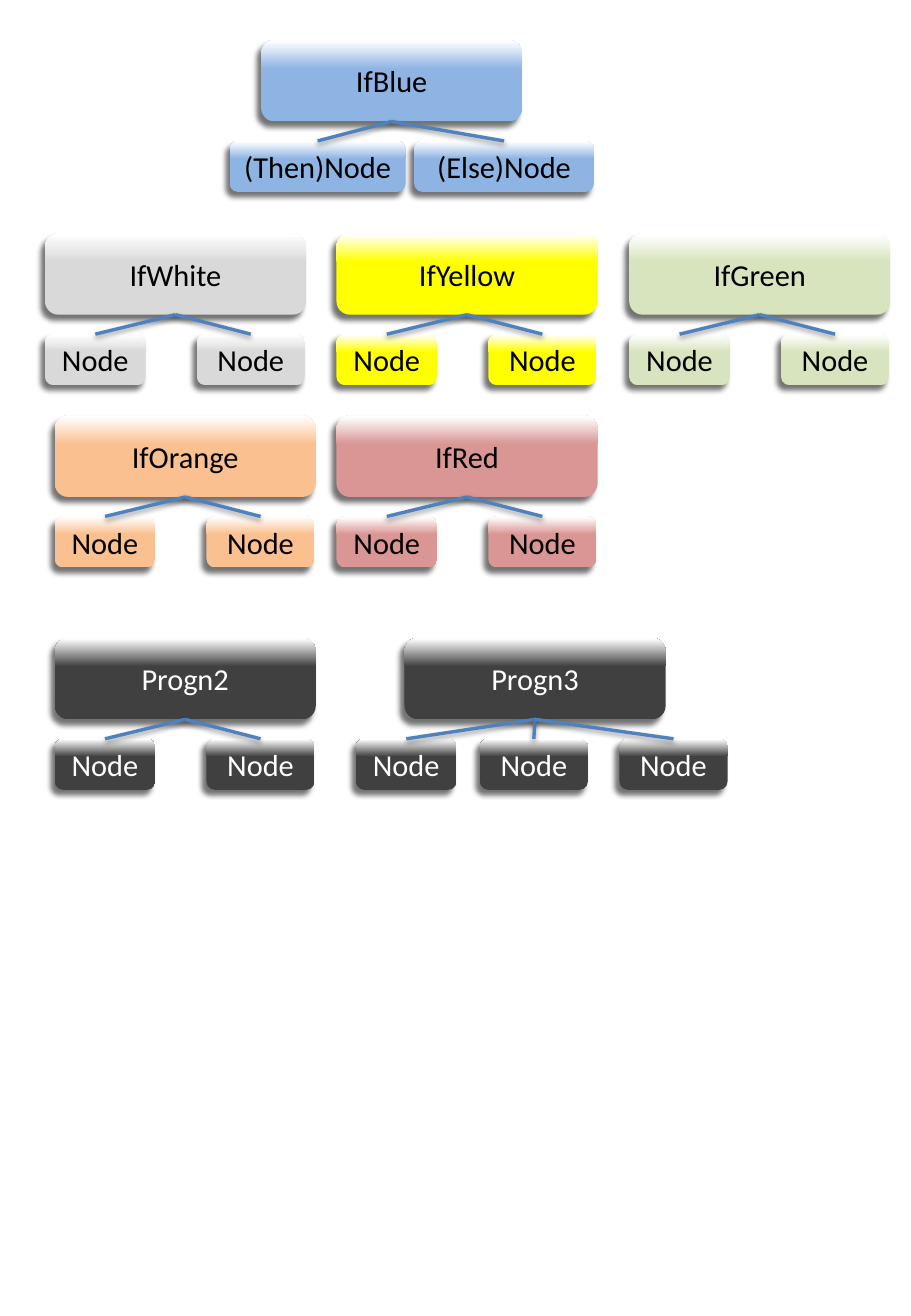
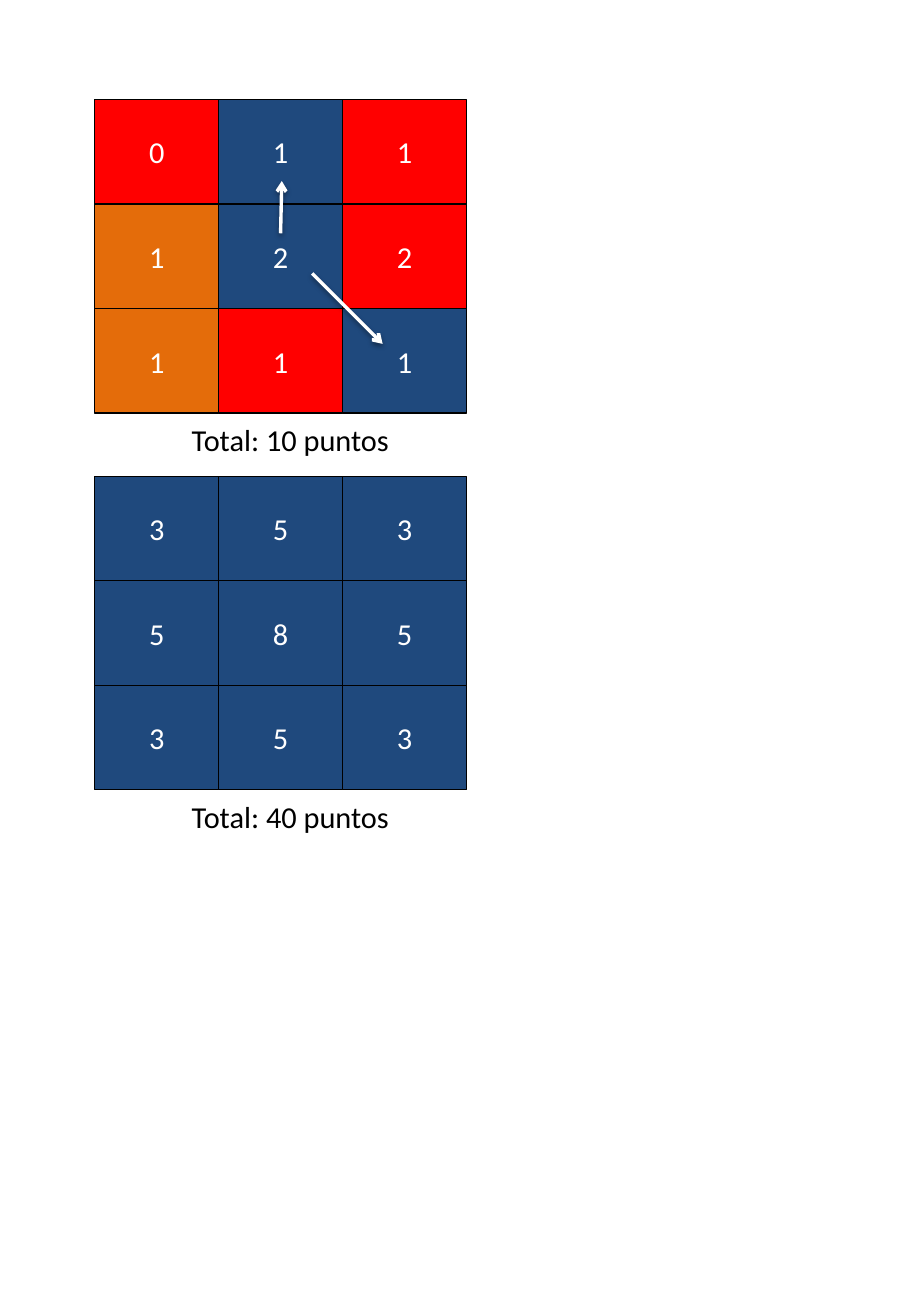
from lxml.etree import SubElement
from pptx import Presentation
from pptx.dml.color import RGBColor
from pptx.enum.shapes import MSO_CONNECTOR, MSO_SHAPE
from pptx.enum.text import MSO_ANCHOR, MSO_AUTO_SIZE, PP_ALIGN
from pptx.oxml.ns import qn
from pptx.util import Inches, Pt

BLACK = RGBColor(0x00, 0x00, 0x00)
WHITE = RGBColor(0xFF, 0xFF, 0xFF)
LINK_BLUE = RGBColor(0x4F, 0x81, 0xBD)
LIGHT_BLUE = RGBColor(0x8E, 0xB4, 0xE3)
GRAY = RGBColor(0xD9, 0xD9, 0xD9)
YELLOW = RGBColor(0xFF, 0xFF, 0x00)
GREEN = RGBColor(0xD7, 0xE4, 0xBD)
LIGHT_ORANGE = RGBColor(0xFA, 0xC0, 0x90)
ROSE = RGBColor(0xD9, 0x96, 0x94)
CHARCOAL = RGBColor(0x40, 0x40, 0x40)
RED = RGBColor(0xFF, 0x00, 0x00)
NAVY = RGBColor(0x1F, 0x49, 0x7D)
ORANGE = RGBColor(0xE4, 0x6C, 0x0A)

FONT = "Calibri"
FONT_SIZE = Pt(18)

# Shadows: opacity in percent, blur and distance in points, direction in degrees
NODE_SHADOW = (54, 3.2, 4, 128)
LINE_SHADOW = (38, 3.1, 1.6, 90)

# Children: text, offset from the parent's left edge, width
PAIR = [("Node", 0, 0.83), ("Node", 1.25, 0.89)]
TRIO = [("Node", -0.4, 0.83), ("Node", 0.62, 0.89), ("Node", 1.77, 0.89)]
BRANCHES = [("(Then)Node", -0.26, 1.45), ("(Else)Node", 1.26, 1.48)]

# Trees: title, left, top, fill colour, text colour, children
TREES = [
    ("IfBlue", 2.15, 0.33, LIGHT_BLUE, BLACK, BRANCHES),
    ("IfOrange", 0.45, 3.42, LIGHT_ORANGE, BLACK, PAIR),
    ("IfRed", 2.77, 3.42, ROSE, BLACK, PAIR),
    ("IfWhite", 0.37, 1.92, GRAY, BLACK, PAIR),
    ("IfYellow", 2.77, 1.92, YELLOW, BLACK, PAIR),
    ("IfGreen", 5.18, 1.92, GREEN, BLACK, PAIR),
    ("Progn2", 0.45, 5.25, CHARCOAL, WHITE, PAIR),
    ("Progn3", 3.33, 5.25, CHARCOAL, WHITE, TRIO),
]
PARENT_WIDTH, PARENT_HEIGHT = 2.15, 0.67
CHILD_DROP, CHILD_HEIGHT = 0.83, 0.42

# Boards: top, scores, cell colours, arrows (from x, y, to x, y), total
BOARDS = [
    (
        0.82,
        ["011", "122", "111"],
        [(RED, NAVY, RED), (ORANGE, NAVY, RED), (ORANGE, RED, NAVY)],
        [(2.31, 1.92, 2.32, 1.49), (2.57, 2.25, 3.15, 2.83)],
        "Total: 10 puntos",
    ),
    (3.92, ["353", "585", "353"], [(NAVY,) * 3] * 3, [], "Total: 40 puntos"),
]
BOARD_LEFT, CELL_WIDTH, CELL_HEIGHT = 0.78, 1.02, 0.86
TOTAL_LEFT, TOTAL_GAP, TOTAL_WIDTH, TOTAL_HEIGHT = 1.48, 0.02, 1.84, 0.4


def add_shadow(shape, opacity, blur, distance, direction):
    properties = shape._element.spPr
    effects = properties.find(qn("a:effectLst"))
    if effects is None:
        effects = SubElement(properties, qn("a:effectLst"))
    shadow = SubElement(
        effects, qn("a:outerShdw"), blurRad=str(Pt(blur)), dist=str(Pt(distance)),
        dir=str(direction * 60000), rotWithShape="0")
    color = SubElement(shadow, qn("a:srgbClr"), val=str(BLACK))
    SubElement(color, qn("a:alpha"), val=str(opacity * 1000))


def write_text(shape, text, color, alignment):
    paragraph = shape.text_frame.paragraphs[0]
    paragraph.text = text
    paragraph.alignment = alignment
    paragraph.font.name = FONT
    paragraph.font.size = FONT_SIZE
    paragraph.font.color.rgb = color


def add_box(shapes, kind, text, left, top, width, height, text_color):
    """Add a preset shape with centred text and no inherited shadow."""
    box = shapes.add_shape(
        kind, Inches(left), Inches(top), Inches(width), Inches(height))
    box.shadow.inherit = False
    box.text_frame.vertical_anchor = MSO_ANCHOR.MIDDLE
    write_text(box, text, text_color, PP_ALIGN.CENTER)
    return box


def add_node(shapes, text, left, top, width, height, fill_color, text_color):
    """Add a rounded box that fades to white at its top."""
    node = add_box(shapes, MSO_SHAPE.ROUNDED_RECTANGLE, text,
                   left, top, width, height, text_color)
    node.fill.gradient()
    node.fill.gradient_angle = 90
    stops = [(0.65, fill_color), (0.99, WHITE)]
    for stop, (position, color) in zip(node.fill.gradient_stops, stops):
        stop.position = position
        stop.color.rgb = color
    node.line.fill.background()
    add_shadow(node, *NODE_SHADOW)
    return node


def add_line(shapes, color, start_x=0, start_y=0, end_x=0, end_y=0):
    line = shapes.add_connector(
        MSO_CONNECTOR.STRAIGHT,
        Inches(start_x), Inches(start_y), Inches(end_x), Inches(end_y))
    line.line.color.rgb = color
    line.line.width = Pt(2)
    add_shadow(line, *LINE_SHADOW)
    return line


def add_tree(shapes, title, left, top, fill_color, text_color, children):
    parent = add_node(shapes, title, left, top, PARENT_WIDTH, PARENT_HEIGHT,
                      fill_color, text_color)
    nodes = [
        add_node(shapes, text, left + offset, top + CHILD_DROP, width,
                 CHILD_HEIGHT, fill_color, text_color)
        for text, offset, width in children
    ]
    for node in nodes:
        link = add_line(shapes, LINK_BLUE)
        link.begin_connect(node, 0)
        link.end_connect(parent, 2)


def add_board(shapes, top, scores, colors, arrows, total):
    for row, (row_scores, row_colors) in enumerate(zip(scores, colors)):
        for column, (score, color) in enumerate(zip(row_scores, row_colors)):
            cell = add_box(
                shapes, MSO_SHAPE.RECTANGLE, score,
                BOARD_LEFT + column * CELL_WIDTH, top + row * CELL_HEIGHT,
                CELL_WIDTH, CELL_HEIGHT, WHITE)
            cell.fill.solid()
            cell.fill.fore_color.rgb = color
            cell.line.color.rgb = BLACK
            cell.line.width = Pt(0.75)
    for ends in arrows:
        arrow = add_line(shapes, WHITE, *ends)
        SubElement(arrow.line._get_or_add_ln(), qn("a:tailEnd"), type="arrow")
    total_top = top + len(scores) * CELL_HEIGHT + TOTAL_GAP
    label = shapes.add_textbox(Inches(TOTAL_LEFT), Inches(total_top),
                               Inches(TOTAL_WIDTH), Inches(TOTAL_HEIGHT))
    label.text_frame.word_wrap = False
    label.text_frame.auto_size = MSO_AUTO_SIZE.SHAPE_TO_FIT_TEXT
    write_text(label, total, BLACK, PP_ALIGN.LEFT)


def main():
    presentation = Presentation()
    presentation.slide_width = Inches(7.5)
    presentation.slide_height = Inches(10.83)
    blank = presentation.slide_layouts[6]

    tree_slide = presentation.slides.add_slide(blank)
    for tree in TREES:
        add_tree(tree_slide.shapes, *tree)

    board_slide = presentation.slides.add_slide(blank)
    for board in BOARDS:
        add_board(board_slide.shapes.add_group_shape().shapes, *board)

    presentation.save("out.pptx")


if __name__ == "__main__":
    main()
